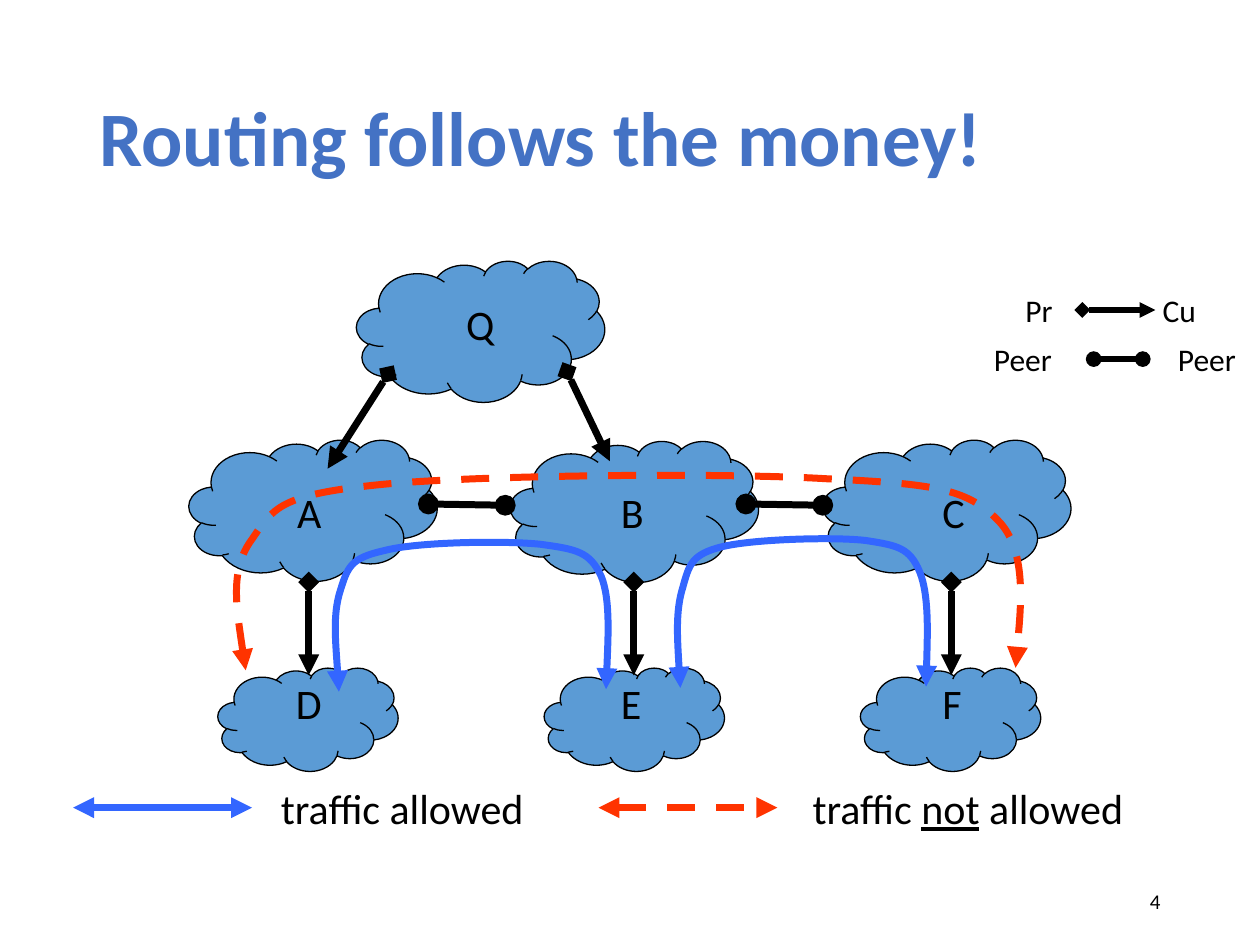
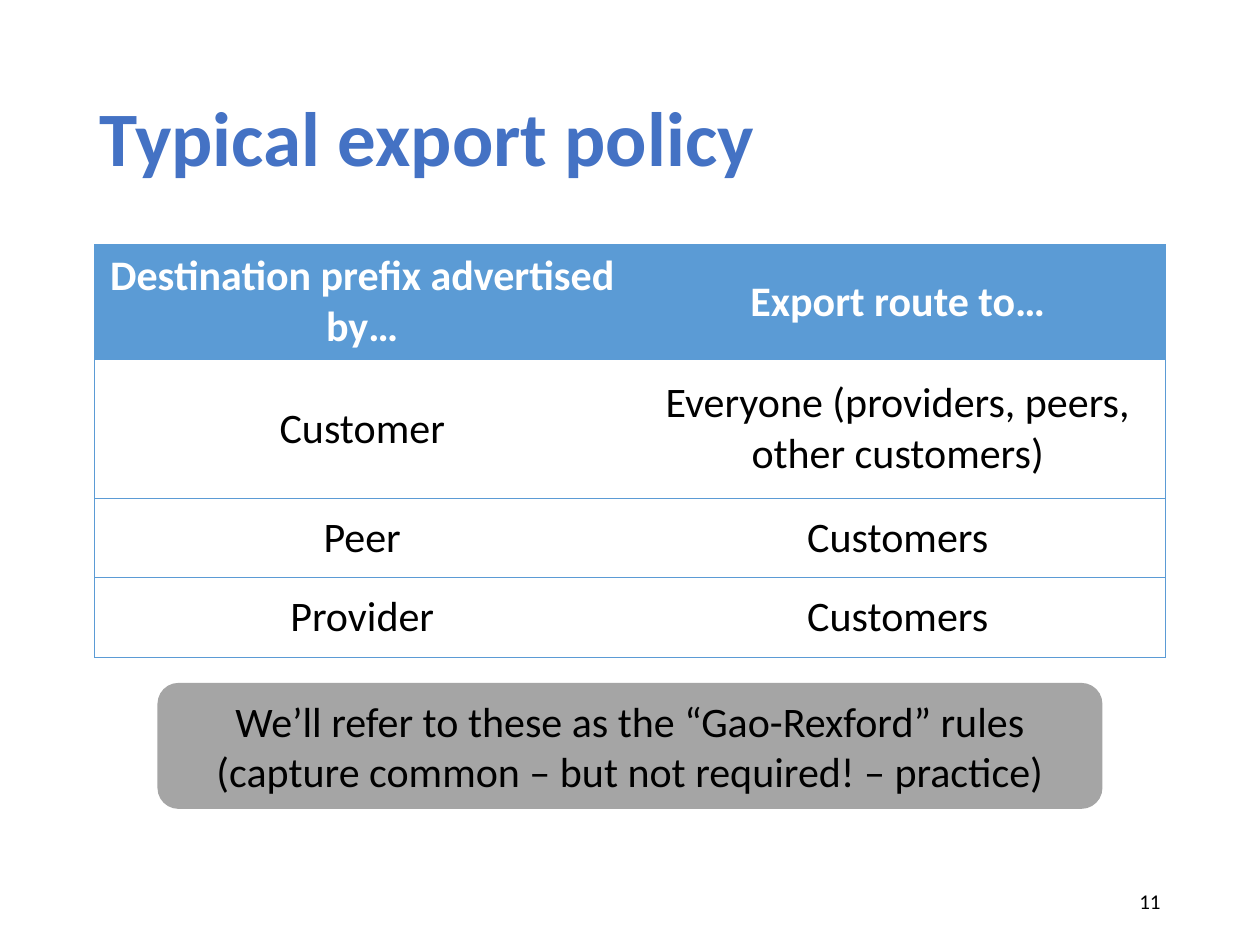
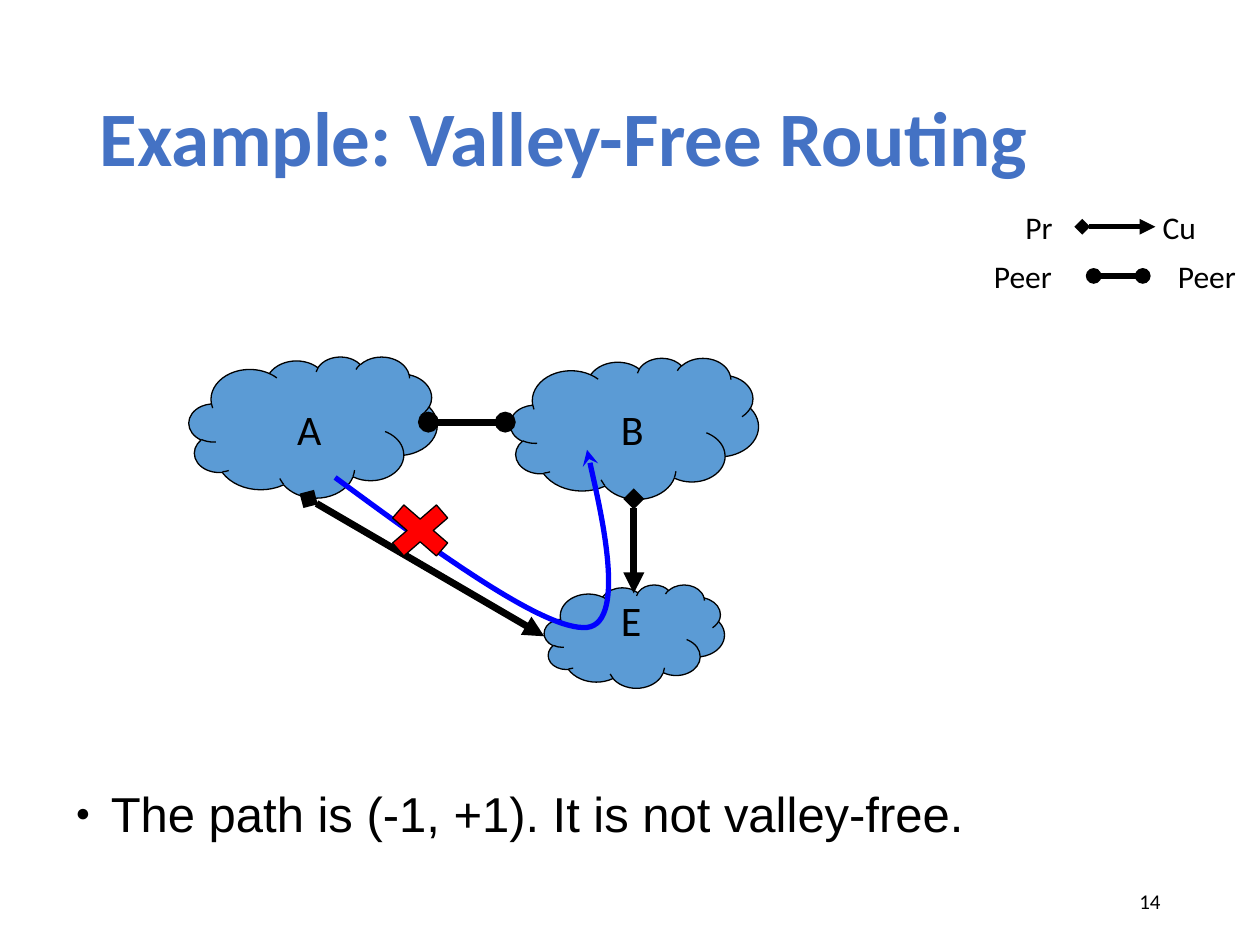
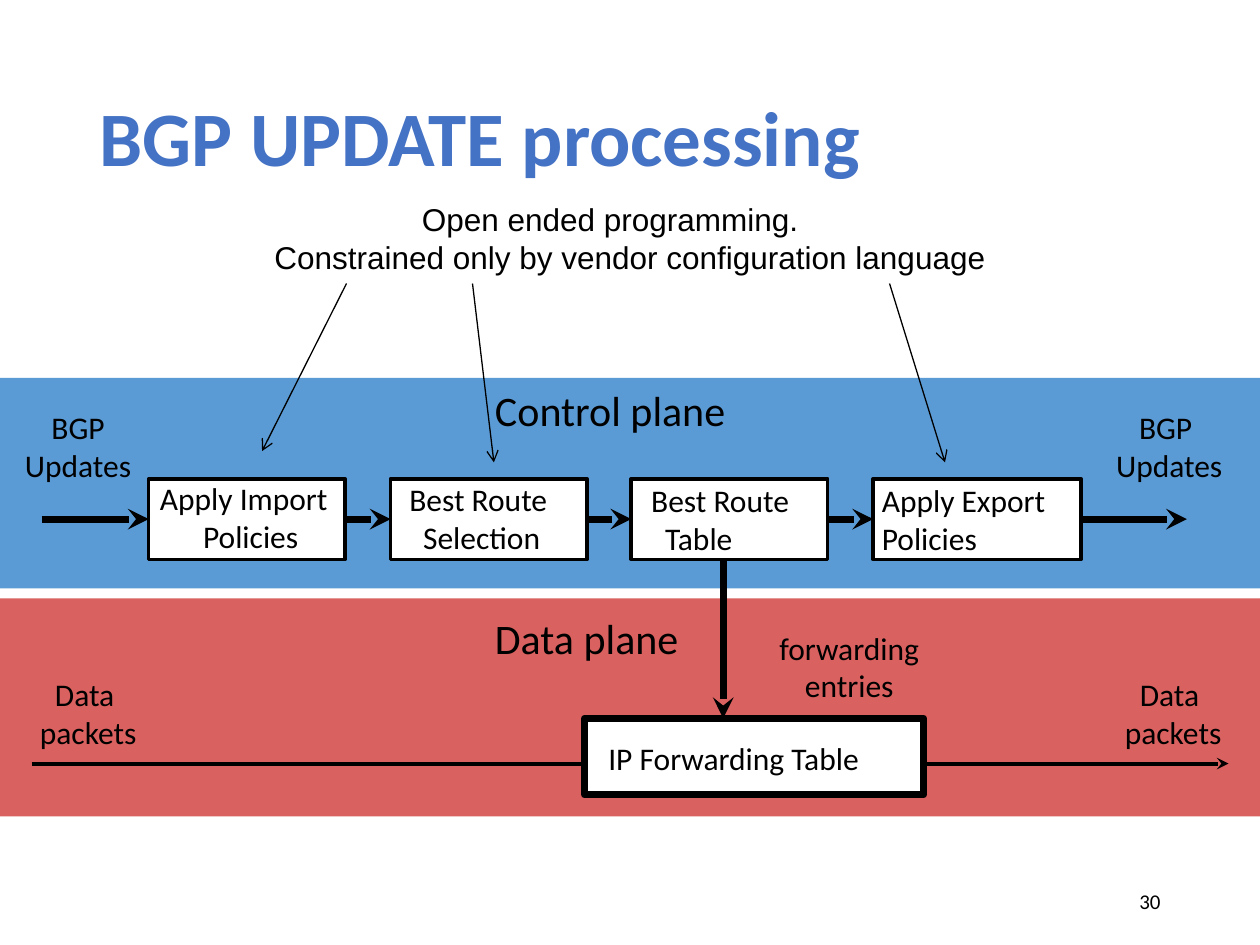
from lxml import etree
from pptx import Presentation
from pptx.dml.color import RGBColor
from pptx.enum.dml import MSO_LINE
from pptx.enum.shapes import MSO_CONNECTOR, MSO_SHAPE
from pptx.enum.text import MSO_ANCHOR, MSO_AUTO_SIZE, PP_ALIGN
from pptx.oxml.ns import qn
from pptx.util import Pt

PX = 9144
TITLE_ONLY, TITLE_AND_BODY = 5, 1
LEFT, CENTER, RIGHT = PP_ALIGN.LEFT, PP_ALIGN.CENTER, PP_ALIGN.RIGHT

COLORS = {
    "title": "4472C4",
    "sky": "5B9BD5",
    "grey": "A5A5A5",
    "coral": "D9615F",
    "allowed": "3366FF",
    "denied": "FF3300",
    "route": "0000FF",
    "cross": "FF0000",
    "black": "000000",
    "white": "FFFFFF",
}

LARGE, SMALL = (197, 112), (143, 82)
NODES = {
    "A": ((150, 349), LARGE, (226, 381)),
    "B": ((405, 350), LARGE, (483, 381)),
    "C": ((653, 349), LARGE, (738, 381)),
    "D": ((173, 530), SMALL, (225, 533)),
    "E": ((432, 530), SMALL, (483, 533)),
    "F": ((683, 530), SMALL, (738, 533)),
    "Q": ((283, 207), LARGE, (360, 232)),
}
PEER = {"head": "oval", "tail": "oval"}
PROVIDER = {"head": "diamond", "tail": "triangle"}
BOTH_WAYS = {"head": "triangle", "tail": "triangle"}


def rgb(name):
    return RGBColor.from_string(COLORS[name])


def apply(target, values):
    for name, value in values.items():
        setattr(target, name, value)


class Deck:
    font = "Calibri"

    def __init__(self):
        self.presentation = Presentation()
        apply(self.presentation, {"slide_width": 1000 * PX, "slide_height": 750 * PX})
        self.slide = None

    def new_slide(self, title, number, layout=TITLE_ONLY):
        self.slide = self.presentation.slides.add_slide(
            self.presentation.slide_layouts[layout])
        placeholder = self.slide.shapes.title
        self.place(placeholder, (69, 40, 862, 145))
        self.fill_text(placeholder.text_frame, [title], size=44, color="title", bold=True,
                       anchor=MSO_ANCHOR.MIDDLE, spacing=0.9)
        self.text((706, 695, 225, 40), [str(number)], size=12, align=RIGHT,
                  anchor=MSO_ANCHOR.MIDDLE, wrap=True, fit=MSO_AUTO_SIZE.NONE)

    def place(self, shape, box):
        apply(shape, dict(zip(("left", "top", "width", "height"),
                              (value * PX for value in box))))

    def fill_text(self, frame, lines, size=24, color="black", bold=False, font=None,
                  align=LEFT, anchor=MSO_ANCHOR.TOP, wrap=True, fit=MSO_AUTO_SIZE.NONE,
                  spacing=None, indents=()):
        apply(frame, {"word_wrap": wrap, "auto_size": fit, "vertical_anchor": anchor})
        for index, line in enumerate(lines):
            paragraph = frame.add_paragraph() if index else frame.paragraphs[0]
            apply(paragraph, {"alignment": align, "line_spacing": spacing})
            if index < len(indents):
                paragraph._p.get_or_add_pPr().set("marL", str(indents[index] * PX))
            runs = [(line, {})] if isinstance(line, str) else line
            for words, extra in runs:
                run = paragraph.add_run()
                run.text = words
                apply(run.font, {"name": font or self.font, "size": Pt(size),
                                 "bold": bold, **extra})
                run.font.color.rgb = rgb(color)

    def text(self, box, lines, wrap=False, fit=MSO_AUTO_SIZE.SHAPE_TO_FIT_TEXT, **style):
        shape = self.slide.shapes.add_textbox(*(value * PX for value in box))
        self.fill_text(shape.text_frame, lines, wrap=wrap, fit=fit, **style)

    def bullets(self, box, lines, **style):
        placeholder = self.slide.placeholders[1]
        self.place(placeholder, box)
        self.fill_text(placeholder.text_frame, lines, **style)
        for paragraph in placeholder.text_frame.paragraphs:
            paragraph.space_before = Pt(0)
            properties = paragraph._p.get_or_add_pPr()
            properties.set("marL", str(28 * PX))
            properties.set("indent", str(-28 * PX))
            color = etree.SubElement(properties, qn("a:buClr"))
            etree.SubElement(color, qn("a:srgbClr"), val=COLORS["black"])
            etree.SubElement(properties, qn("a:buSzPct"), val="50000")
            etree.SubElement(properties, qn("a:buFont"), typeface="Arial")
            etree.SubElement(properties, qn("a:buChar"), char="●")

    def shape(self, kind, box, fill, line_width=None):
        shape = self.slide.shapes.add_shape(kind, *(value * PX for value in box))
        shape.shadow.inherit = False
        shape.fill.solid()
        shape.fill.fore_color.rgb = rgb(fill)
        if line_width:
            shape.line.color.rgb = rgb("black")
            shape.line.width = Pt(line_width)
        else:
            shape.line.fill.background()
        return shape

    def stroke(self, shape, color, width, dash, head, tail):
        shape.line.color.rgb = rgb(color)
        apply(shape.line, {"width": Pt(width), "dash_style": dash})
        line = shape._element.spPr.find(qn("a:ln"))
        for tag, arrow in (("a:headEnd", head), ("a:tailEnd", tail)):
            if arrow:
                etree.SubElement(line, qn(tag), type=arrow)

    def line(self, start, end, color="black", width=4, dash=None, head=None, tail=None):
        connector = self.slide.shapes.add_connector(
            MSO_CONNECTOR.STRAIGHT, *(value * PX for value in (*start, *end)))
        self.stroke(connector, color, width, dash, head, tail)
        etree.SubElement(connector._element.spPr, qn("a:effectLst"))
        return connector

    def curve(self, points, color, width=4, dash=None, head=None, tail=None):
        builder = self.slide.shapes.build_freeform(*points[0], scale=PX)
        builder.add_line_segments(points[1:], close=False)
        shape = builder.convert_to_shape()
        shape.shadow.inherit = False
        shape.fill.background()
        self.stroke(shape, color, width, dash, head, tail)
        segments = list(shape._element.iter(qn("a:lnTo")))
        outline = segments[0].getparent()
        for index in range(0, len(segments), 3):
            bezier = etree.SubElement(outline, qn("a:cubicBezTo"))
            for segment in segments[index:index + 3]:
                bezier.append(segment[0])
                outline.remove(segment)

    def table(self, box, row_heights, rows):
        table = self.slide.shapes.add_table(
            len(rows), len(rows[0]), *(value * PX for value in box)).table
        apply(table, {"first_row": True, "horz_banding": False})
        for row_index, values in enumerate(rows):
            table.rows[row_index].height = row_heights[row_index] * PX
            header = row_index == 0
            for column_index, value in enumerate(values):
                cell = table.cell(row_index, column_index)
                self.fill_text(cell.text_frame, [value], align=CENTER, bold=header,
                               color="white" if header else "black", wrap=None, fit=None)
                cell.vertical_anchor = MSO_ANCHOR.MIDDLE
                outer = {"a:lnL": column_index == 0,
                         "a:lnR": column_index == len(values) - 1,
                         "a:lnT": True, "a:lnB": True}
                for tag, visible in outer.items():
                    self.border(cell, tag, visible)
                if header:
                    cell.fill.solid()
                    cell.fill.fore_color.rgb = rgb("sky")
                else:
                    cell.fill.background()

    def border(self, cell, tag, visible):
        border = etree.SubElement(cell._tc.get_or_add_tcPr(), qn(tag), w=str(Pt(0.5)))
        if visible:
            fill = etree.SubElement(border, qn("a:solidFill"))
            etree.SubElement(fill, qn("a:srgbClr"), val=COLORS["sky"])
        else:
            etree.SubElement(border, qn("a:noFill"))

    def clouds(self, names, shift=0):
        for name in names:
            (left, top), size, _ = NODES[name]
            self.shape(MSO_SHAPE.CLOUD, (left, top + shift, *size), "sky", 0.75)

    def cloud_labels(self, names, shift=0):
        for name in names:
            left, top = NODES[name][2]
            self.text((left, top + shift, 38, 37), [name])

    def legend(self, top):
        self.line((859, top + 20), (917, top + 20), width=3, **PROVIDER)
        self.line((868, top + 59), (907, top + 59), width=3, **PEER)
        for left, offset, width, label in ((804, 0, 47, "Pr"), (913, 0, 54, "Cu"),
                                           (779, 39, 75, "Peer"), (925, 39, 75, "Peer")):
            self.text((left, top + offset, width, 40), [label], size=18)


def routing_money(deck):
    deck.new_slide("Routing follows the money!", 4)
    deck.clouds("DEFBCAQ")
    for left in (340, 592):
        deck.line((left, 400), (left + 61, 401), **PEER)
    for x in (245, 503, 755):
        deck.line((x, 462), (x, 536), **PROVIDER)
    deck.line((308, 297), (260, 372), **PROVIDER)
    deck.line((450, 295), (484, 366), **PROVIDER)
    deck.cloud_labels("ABCDEFQ")
    deck.legend(226)
    allowed = {"color": "allowed", **BOTH_WAYS}
    denied = {"color": "denied", "dash": MSO_LINE.DASH, **BOTH_WAYS}
    deck.curve([(269, 549), (267, 518), (264, 488), (270, 469), (276, 450), (278, 443),
                (305, 437), (331, 430), (401, 429), (429, 432), (458, 436), (468, 438),
                (477, 457), (485, 476), (481, 547), (481, 547)], **allowed)
    deck.curve([(540, 546), (538, 516), (536, 485), (542, 466), (547, 448), (549, 440),
                (573, 434), (597, 428), (661, 426), (687, 429), (713, 433), (722, 435),
                (730, 454), (738, 474), (735, 545), (735, 545)], **allowed)
    deck.curve([(195, 532), (189, 492), (182, 452), (200, 428), (217, 403), (222, 393),
                (298, 385), (374, 377), (573, 375), (656, 380), (738, 384), (767, 387),
                (792, 413), (817, 438), (806, 530), (806, 530)], **denied)
    deck.line((58, 641), (200, 641), **allowed)
    deck.line((475, 641), (617, 641), **denied)
    deck.text((213, 616, 225, 51), ["traffic allowed"])
    deck.text((635, 616, 281, 51),
              [[("traffic ", {}), ("not", {"underline": True}), (" allowed", {})]])


def export_policy(deck):
    deck.new_slide("Typical export policy", 11)
    deck.table((75, 194, 850, 327), (91, 110, 63, 63), [
        ("Destination prefix advertised by…", "Export route to…"),
        ("Customer", "Everyone (providers, peers, other customers)"),
        ("Peer", "Customers"),
        ("Provider", "Customers"),
    ])
    note = deck.shape(MSO_SHAPE.ROUNDED_RECTANGLE, (125, 542, 750, 100), "grey")
    deck.fill_text(note.text_frame, ["We’ll refer to these as the “Gao-Rexford” rules",
                                     "(capture common – but not required! – practice)"],
                   align=CENTER, anchor=MSO_ANCHOR.MIDDLE, wrap=False)


def valley_free(deck):
    shift = -66
    deck.new_slide("Example: Valley-Free Routing", 14, TITLE_AND_BODY)
    deck.clouds("EBA", shift)
    deck.line((340, 335), (401, 335), **PEER)
    deck.line((245, 396), (432, 505), **PROVIDER)
    deck.line((503, 396), (503, 471), **PROVIDER)
    deck.cloud_labels("ABE", shift)
    deck.legend(226 + shift)
    deck.bullets((50, 617, 900, 117), ["The path is (-1, +1). It is not valley-free."],
                 size=28, font="Arial")
    deck.curve([(266, 379), (349, 440), (433, 501), (466, 498),
                (499, 494), (466, 357), (466, 357)], "route", width=3, tail="stealth")
    deck.shape(MSO_SHAPE.MATH_MULTIPLY, (300, 392, 67, 58), "cross", 0.75)


def update_processing(deck):
    deck.new_slide("BGP UPDATE processing", 30)
    deck.shape(MSO_SHAPE.RECTANGLE, (0, 475, 1000, 173), "coral")
    deck.line((25, 606), (975, 606), width=2.25, tail="stealth")
    deck.shape(MSO_SHAPE.RECTANGLE, (0, 300, 1000, 167), "sky")

    steps = [
        (118, 156, (116, 375, 155, 71), ["Apply Import", "Policies"],
         {"align": CENTER, "indents": (0, 11)}),
        (310, 156, (315, 376, 132, 71), ["Best Route", "Selection"], {"indents": (0, 11)}),
        (501, 156, (507, 377, 137, 71), ["Best Route", "Table"], {"indents": (0, 11)}),
        (693, 165, (690, 377, 168, 71), ["Apply Export", "Policies"], {"wrap": True}),
    ]
    boxes = []
    for left, width, label_box, lines, style in steps:
        boxes.append(deck.shape(MSO_SHAPE.RECTANGLE, (left, 380, width, 64), "white", 2))
        deck.text(label_box, lines, size=18, **style)
    for source, target in zip([None, *boxes], [*boxes, None]):
        arrow = deck.line((33, 412), (942, 412), tail="stealth")
        if source:
            arrow.begin_connect(source, 3)
        if target:
            arrow.end_connect(target, 1)
    deck.line((574, 445), (574, 570), tail="stealth")

    deck.shape(MSO_SHAPE.RECTANGLE, (464, 570, 269, 61), "white", 4)
    deck.text((473, 582, 221, 40), ["IP Forwarding Table"], size=18)
    for box, lines in (((608, 494, 132, 71), ["forwarding", "entries"]),
                       ((9, 319, 106, 71), ["BGP", "Updates"]),
                       ((875, 319, 106, 71), ["BGP ", "Updates"]),
                       ((21, 531, 98, 71), ["Data ", "packets"]),
                       ((882, 531, 98, 71), ["Data ", "packets"])):
        deck.text(box, lines, size=18, align=CENTER)
    deck.text((208, 154, 590, 71), ["Open ended programming.",
                                    "Constrained only by vendor configuration language"],
              size=18, font="Arial", indents=(117, 0))
    for start, end in (((275, 225), (208, 358)), ((375, 225), (392, 367)),
                       ((706, 225), (750, 367))):
        deck.line(start, end, width=0.75, tail="arrow")
    deck.text((383, 481, 167, 50), ["Data plane"])
    deck.text((383, 300, 205, 50), ["Control plane"])


def main():
    deck = Deck()
    for build in (routing_money, export_policy, valley_free, update_processing):
        build(deck)
    deck.presentation.save("out.pptx")


if __name__ == "__main__":
    main()
